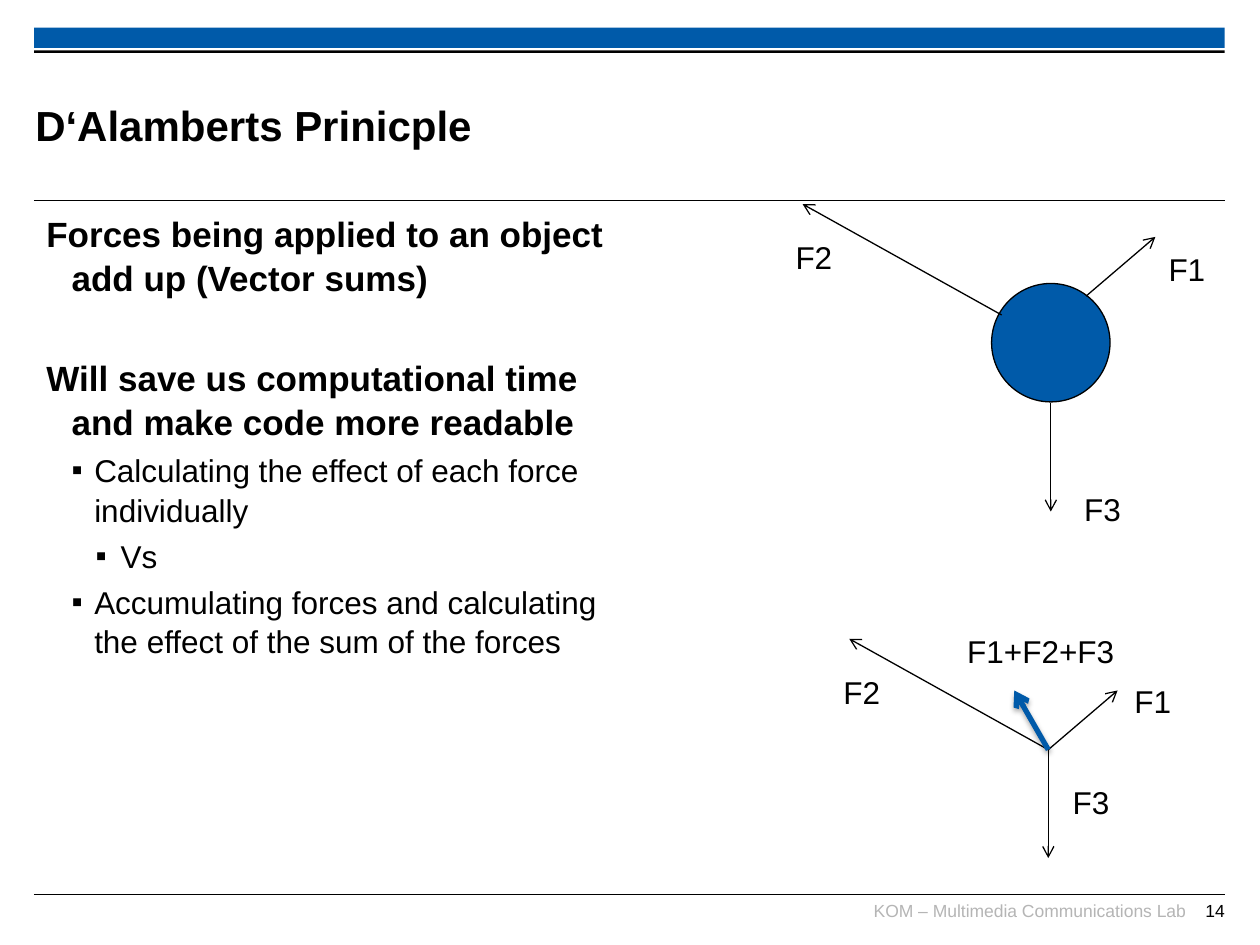
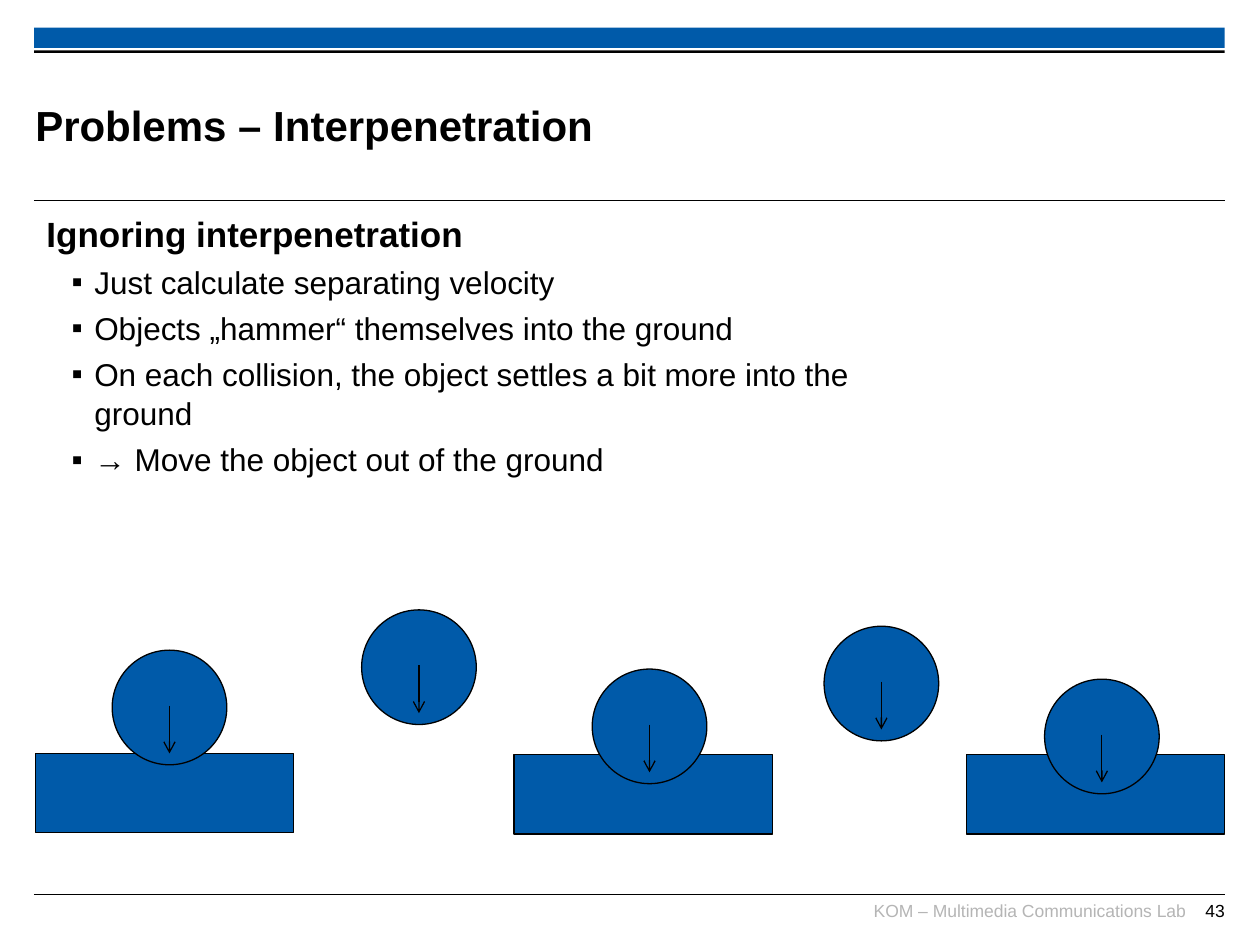
"""Build two physics lecture slides on force sums and interpenetration."""
from lxml import etree
from pptx import Presentation
from pptx import util as u
from pptx.dml.color import RGBColor
from pptx.enum import shapes, text
from pptx.oxml.ns import qn

COLORS = {"blue": "005AA9", "black": "000000", "grey": "B5B5B5"}
FONT = "Arial"
LEFT, WIDTH = 0.27, 9.45
BALL_ARROW = (0.44, 0.82)
LEVELS = [
    {"size": 20, "margin": 0.2, "hang": 0.2, "bullet": None},
    {"size": 18, "margin": 0.38, "hang": 0.18, "bullet": "▪"},
    {"size": 18, "margin": 0.59, "hang": 0.2, "bullet": "▪"},
]
FORCES = {"F1": (0.55, -0.47), "F2": (-1.58, -0.88), "F3": (0, 0.86)}


def rgb(name):
    """Return a named colour."""
    return RGBColor.from_string(COLORS[name])


def style_font(p, size, color="black", bold=False):
    """Format every run of a paragraph."""
    for r in p.runs:
        r.font.name, r.font.size, r.font.bold = FONT, u.Pt(size), bold
        r.font.color.rgb = rgb(color)


def clear_insets(tf):
    """Remove the inner margins of a text frame."""
    tf.margin_left = tf.margin_right = tf.margin_top = tf.margin_bottom = 0


def add_box(s, left, top, width, height):
    """Add an empty wrapping text box."""
    sp = s.shapes.add_textbox(*map(u.Inches, (left, top, width, height)))
    sp.text_frame.word_wrap = True
    return sp.text_frame


def add_filled(parent, kind, at, color="blue", outlined=True):
    """Add a filled preset shape."""
    sp = parent.shapes.add_shape(kind, *map(u.Inches, at))
    sp.shadow.inherit = False
    sp.fill.solid()
    sp.fill.fore_color.rgb = rgb(color)
    if outlined:
        sp.line.color.rgb = rgb("black")
        sp.line.width = u.Pt(0.75)
    else:
        sp.line.fill.background()
    return sp


def add_line(parent, start, end, color="black", weight=0.75, arrow=False, shadow=False):
    """Add a straight line, optionally with an arrowhead and a shadow."""
    cx = parent.shapes.add_connector(
        shapes.MSO_CONNECTOR.STRAIGHT, *map(u.Inches, (*start, *end)))
    cx.line.color.rgb = rgb(color)
    cx.line.width = u.Pt(weight)
    sp_pr = cx._element.spPr
    if arrow:
        etree.SubElement(sp_pr.find(qn("a:ln")), qn("a:tailEnd"), type="arrow")
    effects = etree.SubElement(sp_pr, qn("a:effectLst"))
    if shadow:
        outer = etree.SubElement(
            effects, qn("a:outerShdw"), blurRad=str(u.Pt(3.1)), dist=str(u.Pt(1.8)),
            dir="5400000", rotWithShape="0")
        tint = etree.SubElement(outer, qn("a:srgbClr"), val=COLORS["black"])
        etree.SubElement(tint, qn("a:alpha"), val="35000")


def add_footer_text(s, content, left, width, color):
    """Add a right-aligned footer text."""
    tf = add_box(s, left, 7.14, width, 0.25)
    clear_insets(tf)
    tf.text = content
    p = tf.paragraphs[0]
    p.alignment = text.PP_ALIGN.RIGHT
    style_font(p, 10, color)


def add_base(prs, title, number):
    """Add a slide with its bands, rules, footer and title."""
    s = prs.slides.add_slide(prs.slide_layouts[5])
    rect = shapes.MSO_SHAPE.RECTANGLE
    add_filled(s, rect, (LEFT, 0.22, WIDTH, 0.16), outlined=False)
    add_filled(s, rect, (LEFT, 0.4, WIDTH, 0.02), "black", outlined=False)
    for y in (1.59, 7.1):
        add_line(s, (LEFT, y), (LEFT + WIDTH, y), weight=0.6)
    add_footer_text(s, "KOM – Multimedia Communications Lab", 6.81, 2.6, "grey")
    add_footer_text(s, str(number), 9.29, 0.43, "black")

    sp = s.shapes.title
    sp.left, sp.top, sp.width, sp.height = map(u.Inches, (0.28, 0.53, 7.52, 0.92))
    tf = sp.text_frame
    clear_insets(tf)
    tf.auto_size = text.MSO_AUTO_SIZE.NONE
    tf.vertical_anchor = text.MSO_ANCHOR.MIDDLE
    tf.text = title
    tf.paragraphs[0].alignment = text.PP_ALIGN.LEFT
    style_font(tf.paragraphs[0], 24, bold=True)
    return s


def add_body(s, width, items):
    """Add an outline of (level, text) items."""
    tf = add_box(s, LEFT, 1.62, width, 5.43)
    for i, (level, content) in enumerate(items):
        p = tf.paragraphs[0] if i == 0 else tf.add_paragraph()
        look = LEVELS[level]
        p.text = content
        p.level = level
        p.line_spacing = 1.05
        if i:
            p.space_before = u.Pt(3.6 if level else 32)
        p_pr = p._p.get_or_add_pPr()
        p_pr.set("marL", str(u.Inches(look["margin"])))
        p_pr.set("indent", str(-u.Inches(look["hang"])))
        if look["bullet"]:
            etree.SubElement(p_pr, qn("a:buFont"), typeface=FONT)
            etree.SubElement(p_pr, qn("a:buChar"), char=look["bullet"])
        else:
            etree.SubElement(p_pr, qn("a:buNone"))
        style_font(p, look["size"], bold=level == 0)


def add_label(s, content, left, top, width=0.5):
    """Add a centred force label."""
    tf = add_box(s, left, top, width, 0.38)
    tf.word_wrap = False
    tf.auto_size = text.MSO_AUTO_SIZE.SHAPE_TO_FIT_TEXT
    tf.text = content
    p = tf.paragraphs[0]
    p.alignment = text.PP_ALIGN.CENTER
    p.line_spacing = 0.93
    style_font(p, 18)


def add_forces(s, starts, labels):
    """Draw the three forces from their starts, with labels."""
    for name, (dx, dy) in FORCES.items():
        x, y = starts[name]
        add_line(s, (x, y), (x + dx, y + dy), arrow=True)
        add_label(s, name, *labels[name])


def add_falling_ball(s, left, top):
    """Add a ball grouped with its downward velocity arrow."""
    size = 0.91
    grp = s.shapes.add_group_shape()
    add_filled(grp, shapes.MSO_SHAPE.OVAL, (left, top, size, size))
    x = left + size / 2
    start, end = ((x, top + dy) for dy in BALL_ARROW)
    add_line(grp, start, end, arrow=True)


def build_forces(prs):
    """Build the slide on summed forces."""
    s = add_base(prs, "D‘Alamberts Prinicple", 14)
    add_body(s, 4.73, [
        (0, "Forces being applied to an object add up (Vector sums)"),
        (0, "Will save us computational time and make code more readable"),
        (1, "Calculating the effect of each force individually"),
        (2, "Vs"),
        (1, "Accumulating forces and calculating the effect of the sum of the forces"),
    ])
    add_filled(s, shapes.MSO_SHAPE.OVAL, (7.87, 2.25, 0.94, 0.94))
    add_forces(s, {"F1": (8.62, 2.35), "F2": (7.95, 2.5), "F3": (8.34, 3.2)},
               {"F1": (9.17, 1.96), "F2": (6.21, 1.87), "F3": (8.5, 3.87)})
    origin = (8.32, 5.95)
    add_forces(s, dict.fromkeys(FORCES, origin),
               {"F1": (8.9, 5.39), "F2": (6.59, 5.32), "F3": (8.41, 6.19)})
    add_line(s, origin, (8.05, 5.48), "blue", 3, arrow=True, shadow=True)
    add_label(s, "F1+F2+F3", 7.57, 4.99, 1.38)


def build_interpenetration(prs):
    """Build the slide on balls sinking into the ground."""
    s = add_base(prs, "Problems – Interpenetration", 43)
    add_body(s, 7.01, [
        (0, "Ignoring interpenetration"),
        (1, "Just calculate separating velocity"),
        (1, "Objects „hammer“ themselves into the ground"),
        (1, "On each collision, the object settles a bit more into the ground"),
        (1, "→ Move the object out of the ground"),
    ])
    for left, top in ((0.28, 5.98), (4.08, 5.99), (7.67, 5.99)):
        add_filled(s, shapes.MSO_SHAPE.RECTANGLE, (left, top, 2.05, 0.63))
    for left, top in ((0.89, 5.16), (2.87, 4.84), (4.7, 5.31), (6.54, 4.97), (8.29, 5.39)):
        add_falling_ball(s, left, top)


def main():
    """Build and save the presentation."""
    prs = Presentation()
    prs.slide_width, prs.slide_height = u.Inches(10), u.Inches(7.5)
    build_forces(prs)
    build_interpenetration(prs)
    prs.save("out.pptx")


if __name__ == "__main__":
    main()
